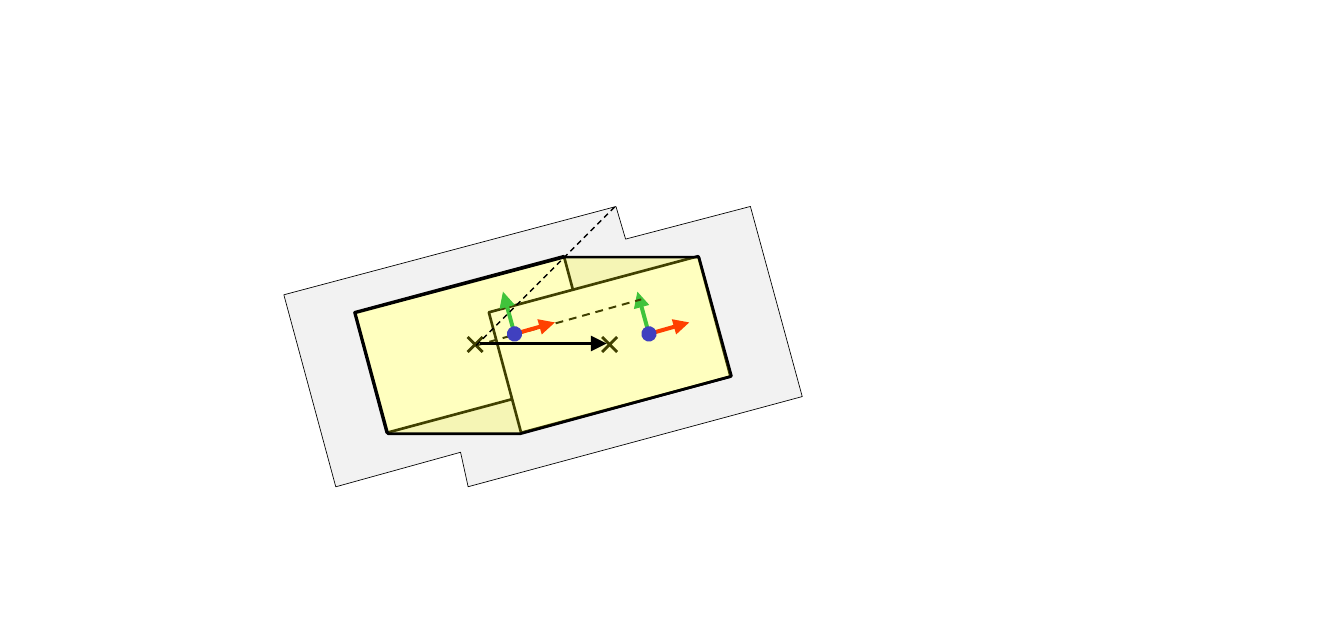
"""Build a slide showing a rotated rectangle swept sideways between two poses."""
from dataclasses import dataclass
from math import cos, radians, sin

from lxml.etree import SubElement
from pptx import Presentation
from pptx.dml.color import RGBColor as Color
from pptx.enum.dml import MSO_LINE as Dash
from pptx.enum.shapes import MSO_CONNECTOR as Connector, MSO_SHAPE as Shape
from pptx.oxml.ns import qn
from pptx.util import Inches, Pt


@dataclass(frozen=True)
class Theme:
    ink: str = "000000"
    body: str = "FFFFFF"
    margin: str = "F2F2F2"
    sweep: str = "FFFF00"
    sweep_alpha: int = 25
    axis_x: str = "FF0000"
    axis_y: str = "00B050"
    origin: str = "0000FF"
    hairline: float = 0.25
    thin: float = 0.5
    medium: float = 0.75
    outline: float = 1
    axis: float = 1.5


THEME = Theme()
SIZE = (7, 3.35)
TILT = 165
SHIFT = 0.7
BODY = (1.91, 1.47, 1.13, 0.65)
CROSS = (2.4, 1.72, 0.15, 0.15)
DOT = (2.64, 1.7, 0.08, 0.08)
ORIGIN = (2.68, 1.74)
AXES = [((2.62, 1.52), THEME.axis_y), ((2.89, 1.68), THEME.axis_x)]
MARGIN = [(3.91, 1.07), (4.18, 2.06), (2.44, 2.53), (2.4, 2.35),
          (1.75, 2.53), (1.48, 1.53), (3.21, 1.07), (3.26, 1.24)]
SWEEP = [(3.64, 1.34), (3.81, 1.96), (2.71, 2.26),
         (2.02, 2.26), (1.85, 1.63), (2.94, 1.34)]
CENTER = (2.48, 1.8)
TIP = (3.34, 1.56)
CORNER = (3.21, 1.07)
MOVE = [(2.5, 1.79), (3.16, 1.79)]


def paint(shape, fill, width=None):
    shape.shadow.inherit = False
    shape.fill.solid()
    shape.fill.fore_color.rgb = Color.from_string(fill)
    if width is None:
        shape.line.fill.background()
    else:
        shape.line.color.rgb = Color.from_string(THEME.ink)
        shape.line.width = Pt(width)


def add_preset(shapes, kind, place, shift, fill, width=None, turn=0):
    left, top, wide, high = place
    shape = shapes.add_shape(kind, *map(Inches, (left + shift, top, wide, high)))
    shape.rotation = turn
    paint(shape, fill, width)
    return shape


def add_line(shapes, start, end, color, width, dashed=False, arrow=False):
    line = shapes.add_connector(Connector.STRAIGHT, *map(Inches, (*start, *end)))
    line.line.color.rgb = Color.from_string(color)
    line.line.width = Pt(width)
    if dashed:
        line.line.dash_style = Dash.DASH
    if arrow:
        SubElement(line.line._get_or_add_ln(), qn("a:tailEnd"), type="triangle")
    SubElement(line._element.spPr, qn("a:effectLst"))


def add_outline(shapes, points, turn, fill, width):
    mid_x, mid_y = [(min(axis) + max(axis)) / 2 for axis in zip(*points)]
    c, s = cos(radians(turn)), sin(radians(turn))
    local = [(Inches(mid_x + (x - mid_x) * c + (y - mid_y) * s),
              Inches(mid_y - (x - mid_x) * s + (y - mid_y) * c)) for x, y in points]
    builder = shapes.build_freeform(*local[0])
    builder.add_line_segments(local[1:], close=True)
    shape = builder.convert_to_shape()
    shape.rotation = turn
    paint(shape, fill, width)
    return shape


def add_body(shapes, shift):
    add_preset(shapes, Shape.RECTANGLE, BODY, shift, THEME.body, THEME.outline, TILT)


def add_cross(shapes, shift):
    cross = add_preset(shapes, Shape.MATH_MULTIPLY, CROSS, shift, THEME.ink)
    cross.adjustments[0] = 0.1


def add_frame(shapes, shift):
    for (x, y), color in AXES:
        add_line(shapes, (ORIGIN[0] + shift, ORIGIN[1]), (x + shift, y),
                 color, THEME.axis, arrow=True)
    add_preset(shapes, Shape.OVAL, DOT, shift, THEME.origin, turn=75)


def main():
    deck = Presentation()
    deck.slide_width, deck.slide_height = map(Inches, SIZE)
    page = deck.slides.add_slide(deck.slide_layouts[6])
    shapes = page.shapes

    add_outline(shapes, MARGIN, TILT, THEME.margin, THEME.hairline)
    add_body(shapes, 0)
    add_cross(shapes, 0)
    moved = shapes.add_group_shape().shapes
    for add_part in (add_body, add_frame, add_cross):
        add_part(moved, SHIFT)
    add_line(shapes, CENTER, TIP, THEME.ink, THEME.medium, dashed=True)
    add_frame(shapes.add_group_shape().shapes, 0)

    sweep = add_outline(shapes, SWEEP, 180, THEME.sweep, THEME.outline)
    tint = sweep._element.spPr.find(qn("a:solidFill")).find(qn("a:srgbClr"))
    SubElement(tint, qn("a:alpha"), val=str(THEME.sweep_alpha * 1000))
    add_line(shapes, *MOVE, THEME.ink, THEME.outline, arrow=True)
    add_line(shapes, CENTER, CORNER, THEME.ink, THEME.thin, dashed=True)
    deck.save("out.pptx")


if __name__ == "__main__":
    main()
